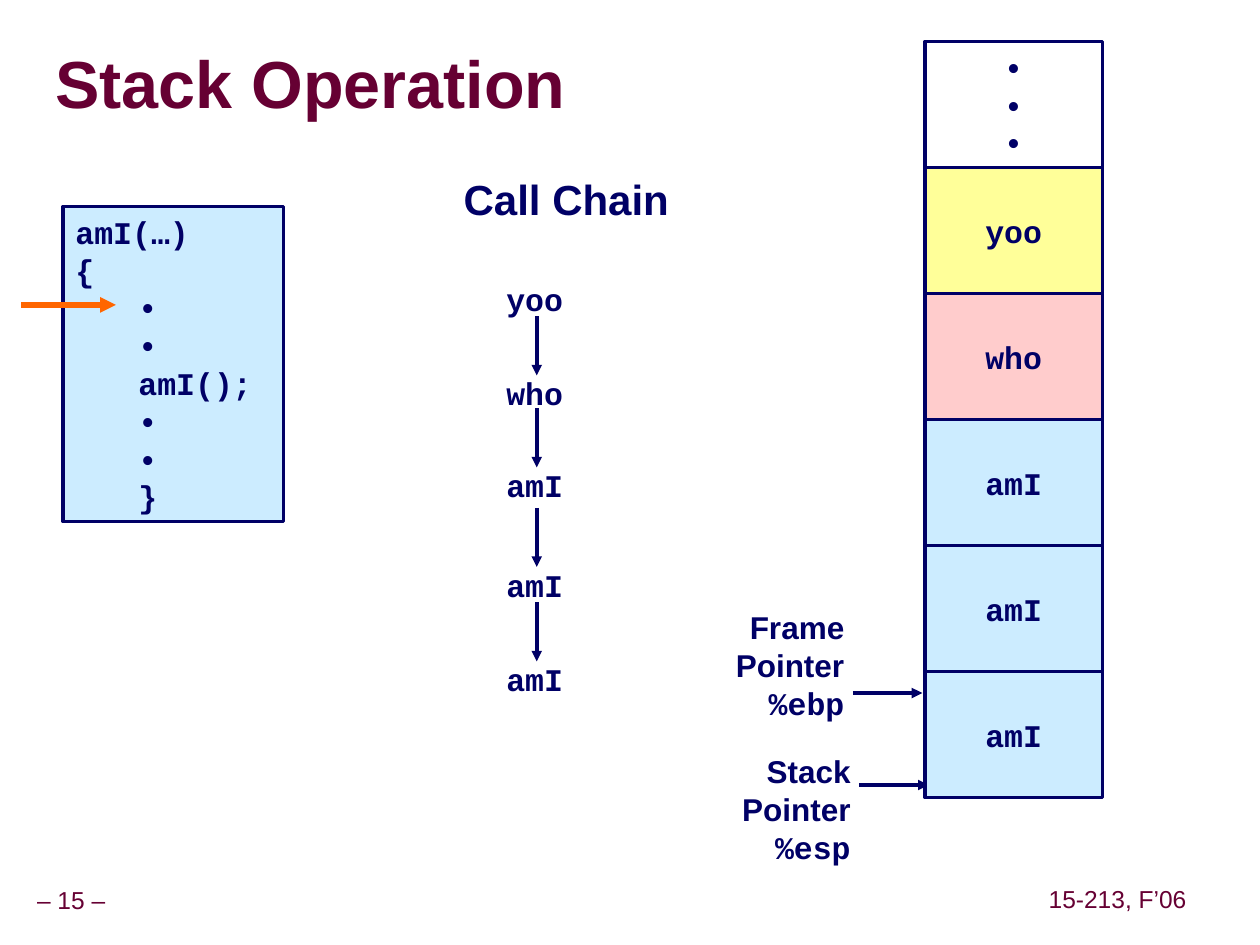
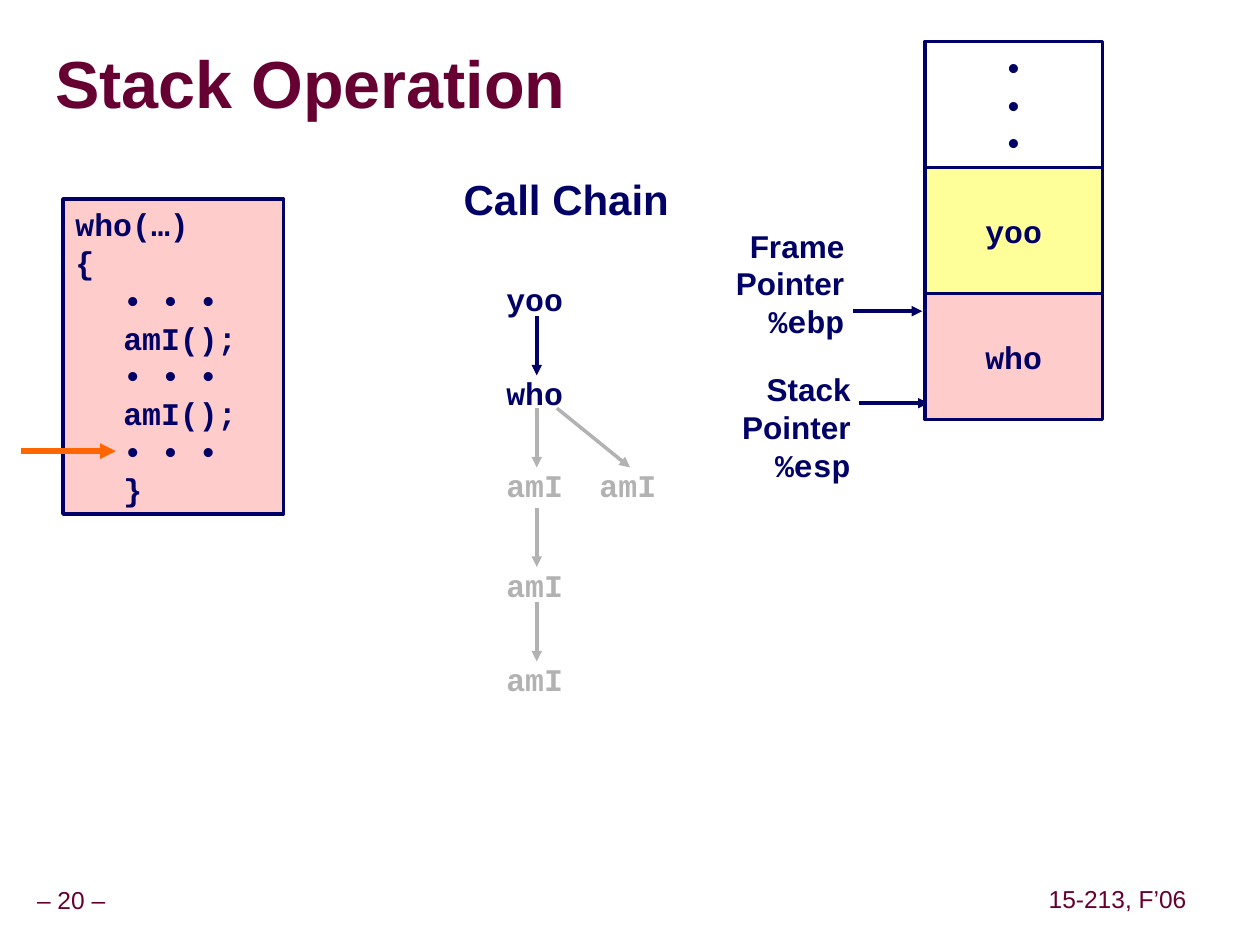
from dataclasses import dataclass

from lxml import etree
from pptx import Presentation
from pptx.dml.color import RGBColor
from pptx.enum.shapes import MSO_CONNECTOR, MSO_SHAPE
from pptx.enum.text import MSO_ANCHOR, PP_ALIGN
from pptx.oxml.ns import qn
from pptx.util import Inches, Pt

LEFT, CENTER, RIGHT = PP_ALIGN.LEFT, PP_ALIGN.CENTER, PP_ALIGN.RIGHT
TOP, MIDDLE = MSO_ANCHOR.TOP, MSO_ANCHOR.MIDDLE
RECT, STRAIGHT = MSO_SHAPE.RECTANGLE, MSO_CONNECTOR.STRAIGHT


@dataclass(frozen=True)
class Theme:
    """Colours, fonts and type sizes of the deck."""
    wine: str = "660033"
    navy: str = "000066"
    grey: str = "B2B2B2"
    shade: str = "969696"
    flame: str = "FF6600"
    sky: str = "CCECFF"
    rose: str = "FFCCCC"
    lemon: str = "FFFF99"
    sans: str = "Arial"
    mono: str = "Courier New"
    title: int = 38
    head: int = 24
    body: int = 18
    foot: int = 14
    pitch: float = 21.6


T = Theme()
HUES = {"yoo": T.lemon, "who": T.rose, "amI": T.sky}
LABEL = {"name": T.sans, "size": Pt(T.body), "bold": True}
CODE = LABEL | {"name": T.mono}
HEAD = LABEL | {"size": Pt(T.head)}
TITLE = LABEL | {"size": Pt(T.title)}
FOOT = LABEL | {"size": Pt(T.foot), "bold": False}


def paint(font, form, hue):
    """Apply a dict of format values and a colour to a font."""
    for key, value in form.items():
        setattr(font, key, value)
    font.color.rgb = RGBColor.from_string(hue)


def write(frame, lines, form, hue=T.navy, align=LEFT, pitch=Pt(T.pitch)):
    """Fill a frame with one paragraph per line and return the paragraphs."""
    frame.text = "\n".join(lines)
    for para in frame.paragraphs:
        para.alignment = align
        para.line_spacing = pitch
        for run in para.runs:
            paint(run.font, form, hue)
    return frame.paragraphs


def label(slide, box, lines, form, pad=0.1, anchor=TOP, **style):
    """Add a text box that does not wrap."""
    frame = slide.shapes.add_textbox(*map(Inches, box)).text_frame
    frame.word_wrap = False
    frame.vertical_anchor = anchor
    frame.margin_left = frame.margin_right = Inches(pad)
    return write(frame, lines, form, **style)


def panel(slide, box, lines, hue=None, **style):
    """Add an outlined rectangle that holds code text."""
    shape = slide.shapes.add_shape(RECT, *map(Inches, box))
    shape.shadow.inherit = False
    if hue:
        shape.fill.solid()
        shape.fill.fore_color.rgb = RGBColor.from_string(hue)
    else:
        shape.fill.background()
    shape.line.color.rgb = RGBColor.from_string(T.navy)
    shape.line.width = Pt(2)
    frame = shape.text_frame
    frame.word_wrap = True
    frame.vertical_anchor = style.pop("anchor", TOP)
    return write(frame, lines, CODE, **style)


def arrow(slide, start, end, hue=T.navy, width=2):
    """Draw a straight arrow from start to end."""
    line = slide.shapes.add_connector(STRAIGHT, *map(Inches, (*start, *end)))
    line.line.color.rgb = RGBColor.from_string(hue)
    line.line.width = Pt(width)
    props = line._element.spPr
    etree.SubElement(props.find(qn("a:ln")), qn("a:tailEnd"), type="triangle")
    etree.SubElement(props, qn("a:effectLst"))


def heading(slide, text):
    """Place the slide title and give its letters a shadow."""
    shape = slide.shapes.title
    shape.left, shape.top, shape.width, shape.height = map(
        Inches, (0.44, 0.27, 9.53, 0.85))
    frame = shape.text_frame
    for side in ("left", "top", "right", "bottom"):
        setattr(frame, f"margin_{side}", 0)
    frame.vertical_anchor = MIDDLE
    para, = write(frame, [text], TITLE, T.wine, pitch=0.87)
    fill = para.runs[0].font._element.find(qn("a:solidFill"))
    effect = etree.Element(qn("a:effectLst"))
    cast = etree.SubElement(effect, qn("a:outerShdw"), dist="71842",
                            dir="2700000", algn="ctr", rotWithShape="0")
    etree.SubElement(cast, qn("a:srgbClr"), val=T.shade)
    fill.addnext(effect)


def footer(slide, number):
    """Add the page number and the course name."""
    for box, text in (((-0.09, 7, 1.31, 0.31), f"– {number} –"),
                      ((8.27, 6.99, 1.2, 0.31), "15-213, F’06")):
        label(slide, box, [text], FOOT, 0.05, MIDDLE,
              hue=T.wine, align=CENTER, pitch=0.9)


def pointers(slide, left, top):
    """Label the frame and stack pointers, each with an arrow."""
    for word, name, dx, dy, drop in (("Stack", "%esp", 0.05, 1.14, 0.31),
                                     ("Frame", "%ebp", 0, 0, 0.72)):
        x, y = left + dx, top + dy
        arrow(slide, (x + 1.03, y + drop), (x + 1.58, y + drop))
        paras = label(slide, (x, y, 1.06, 1), [word, "Pointer", name],
                      LABEL, align=RIGHT)
        paras[-1].runs[0].font.name = T.mono


def stack(slide, left, top, calls):
    """Pile one cell for each call below the cell of dots."""
    size = (1.41, 1)
    panel(slide, (left, top, *size), ["•"] * 3, align=CENTER)
    for row, call in enumerate(calls, 1):
        panel(slide, (left, top + row, *size), [call], HUES[call],
              align=CENTER, anchor=MIDDLE)


def listing(slide, left, top, lines, hue, inset, mark):
    """Show a function body and mark the line that runs."""
    paras = panel(slide, (left, top, 1.75, 2.5), lines, hue)
    for para in paras[2:]:
        para._p.get_or_add_pPr().set("marL", str(Inches(inset)))
    y = top + mark
    arrow(slide, (left - 0.33, y), (left + 0.42, y), T.flame, 3)


def chain(slide, left, top, live, fork):
    """Draw the call chain, with calls that returned in grey."""
    label(slide, (left - 0.34, top, 1.83, 0.5), ["Call Chain"], HEAD,
          align=CENTER, pitch=1.0)
    mid, size = left + 0.34, (0.66, 0.4)
    drops = (0.84, 1.59, 2.32, 3.11, 3.86)
    for row, (call, drop) in enumerate(
            zip(("yoo", "who", "amI", "amI", "amI"), drops)):
        hue = T.navy if row < live else T.grey
        y = top + drop
        label(slide, (left, y, *size), [call], CODE, hue=hue)
        if row:
            arrow(slide, (mid, y - 0.41), (mid, y + 0.06), hue)
        if fork and row == 2:
            label(slide, (left + 0.74, y, *size), [call], CODE, hue=hue)
            arrow(slide, (mid + 0.16, y - 0.41), (mid + 0.74, y + 0.06), hue)


def scene(deck, number, calls, code, point, live, fork=False):
    """Build one step of the stack operation."""
    slide = deck.slides.add_slide(deck.slide_layouts[5])
    heading(slide, "Stack Operation")
    footer(slide, number)
    pointers(slide, 5.74, point)
    stack(slide, 7.34, 0.33, calls)
    chain(slide, 3.92, 1.33, live, fork)
    listing(slide, 0.5, **code)


def main():
    """Build the deck and save it."""
    deck = Presentation()
    deck.slide_width, deck.slide_height = Inches(10), Inches(7.5)
    dots = "• • •"
    inner = {"top": 1.64, "hue": T.sky, "inset": 0.5, "mark": 0.78,
             "lines": ["amI(…)", "{", "•", "•", "amI();", "•", "•", "}"]}
    outer = {"top": 1.58, "hue": T.rose, "inset": 0.38, "mark": 2,
             "lines": ["who(…)", "{", dots, "amI();", dots, "amI();",
                       dots, "}"]}
    scene(deck, 15, ["yoo", "who", "amI", "amI", "amI"], inner, 4.78, 5)
    scene(deck, 20, ["yoo", "who"], outer, 1.75, 2, fork=True)
    deck.save("out.pptx")


if __name__ == "__main__":
    main()
